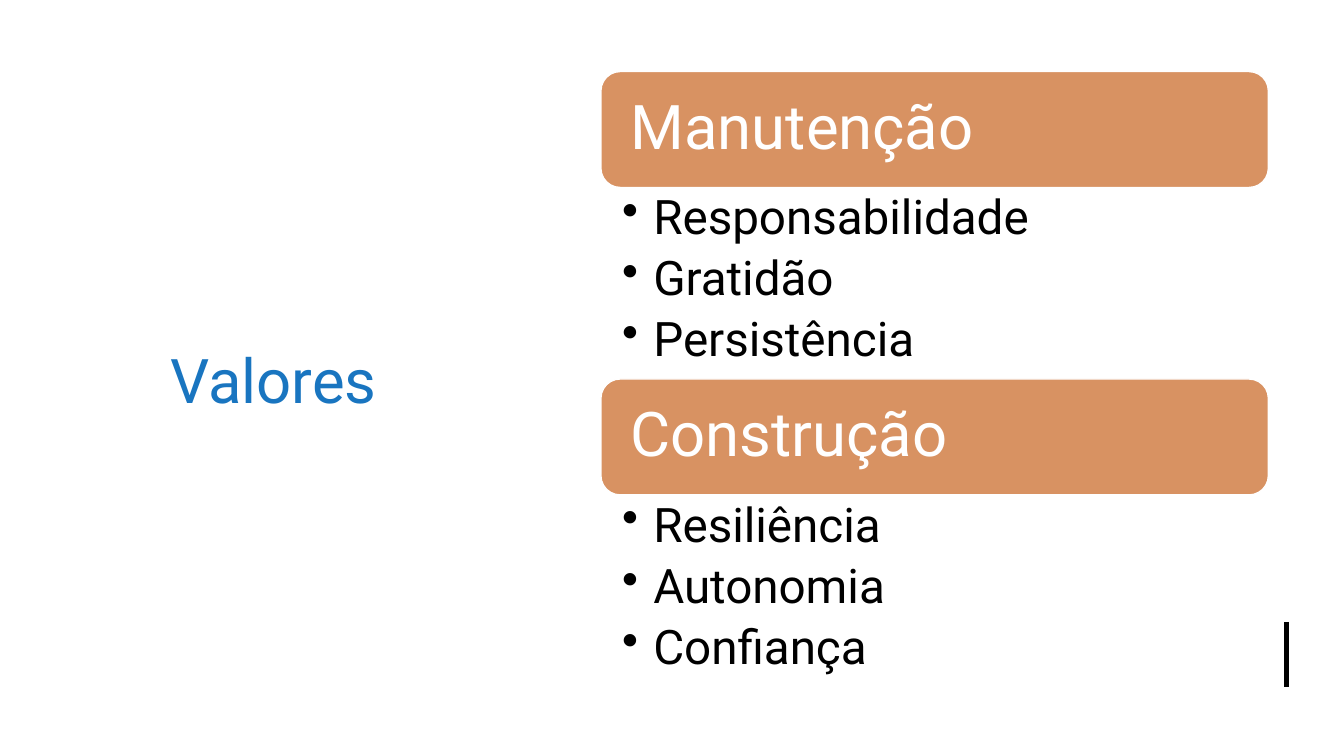
import pptx
import pptx.util
import pptx.dml.color
import pptx.enum.shapes
import pptx.enum.text
import pptx.oxml.ns
from lxml import etree
from pptx.util import Inches

ANCHOR = pptx.enum.text.MSO_ANCHOR
ALIGN = pptx.enum.text.PP_ALIGN
SHAPES = pptx.enum.shapes


def color(value):
    return pptx.dml.color.RGBColor.from_string(value)


def write(box, lines, size, ink, frame_format, para_format):
    """Fill a box with one paragraph per line."""
    frame = box.text_frame
    frame.word_wrap = True
    for name, value in frame_format.items():
        setattr(frame, name, value)
    for index, line in enumerate(lines):
        para = frame.add_paragraph() if index else frame.paragraphs[0]
        for name, value in para_format.items():
            setattr(para, name, value)
        span = para.add_run()
        span.text = line
        span.font.name = "Roboto"
        span.font.size = pptx.util.Pt(size)
        span.font.color.rgb = color(ink)


# Slide
deck = pptx.Presentation()
deck.slide_width = Inches(13.33)
deck.slide_height = Inches(7.5)
page = deck.slides.add_slide(deck.slide_layouts[6])
page.background.fill.solid()
page.background.fill.fore_color.rgb = color("FFFFFF")

# Title on the left
title = page.shapes.add_textbox(Inches(0.83), Inches(0.94), Inches(3.77), Inches(5.64))
write(title, ["Valores"], 44, "1975C0",
      {"vertical_anchor": ANCHOR.MIDDLE}, {"alignment": ALIGN.CENTER})

# Accent line at the lower right
accent = page.shapes.add_connector(
    SHAPES.MSO_CONNECTOR.STRAIGHT,
    Inches(12.76), Inches(6.17), Inches(12.76), Inches(6.82))
accent.line.color.rgb = color("000000")
accent.line.width = pptx.util.Pt(3)
etree.SubElement(accent._element.spPr, pptx.oxml.ns.qn("a:effectLst"))

# Groups of values: a header bar with a bulleted list below
groups = {
    "Manutenção": ["Responsabilidade", "Gratidão", "Persistência"],
    "Construção": ["Resiliência", "Autonomia", "Confiança"],
}
left, top, width = 5.96, 0.71, 6.62
header_height, list_height = 1.15, 1.9
header_frame = {"vertical_anchor": ANCHOR.MIDDLE,
                "margin_left": Inches(0.24), "margin_right": Inches(0.24),
                "margin_top": Inches(0.18), "margin_bottom": Inches(0.18)}
list_frame = {"vertical_anchor": ANCHOR.TOP,
              "margin_left": Inches(0.21), "margin_right": Inches(0.34),
              "margin_top": Inches(0.06), "margin_bottom": Inches(0.06)}

for heading, values in groups.items():
    header = page.shapes.add_shape(
        SHAPES.MSO_SHAPE.ROUNDED_RECTANGLE,
        Inches(left), Inches(top), Inches(width), Inches(header_height))
    header.shadow.inherit = False
    header.fill.solid()
    header.fill.fore_color.rgb = color("D89262")
    header.line.color.rgb = color("FFFFFF")
    header.line.width = pptx.util.Pt(1)
    write(header, [heading], 44, "FFFFFF", header_frame,
          {"alignment": ALIGN.LEFT, "line_spacing": 0.9})
    top += header_height

    box = page.shapes.add_textbox(
        Inches(left), Inches(top), Inches(width), Inches(list_height))
    write(box, values, 34, "000000", list_frame,
          {"line_spacing": 0.9, "space_after": pptx.util.Pt(7)})
    for para in box.text_frame.paragraphs:
        properties = para._p.get_or_add_pPr()
        properties.set("marL", str(Inches(0.31)))
        properties.set("indent", str(-Inches(0.31)))
        bullet = etree.SubElement(properties, pptx.oxml.ns.qn("a:buChar"))
        bullet.set("char", "•")
    top += list_height

deck.save("out.pptx")
